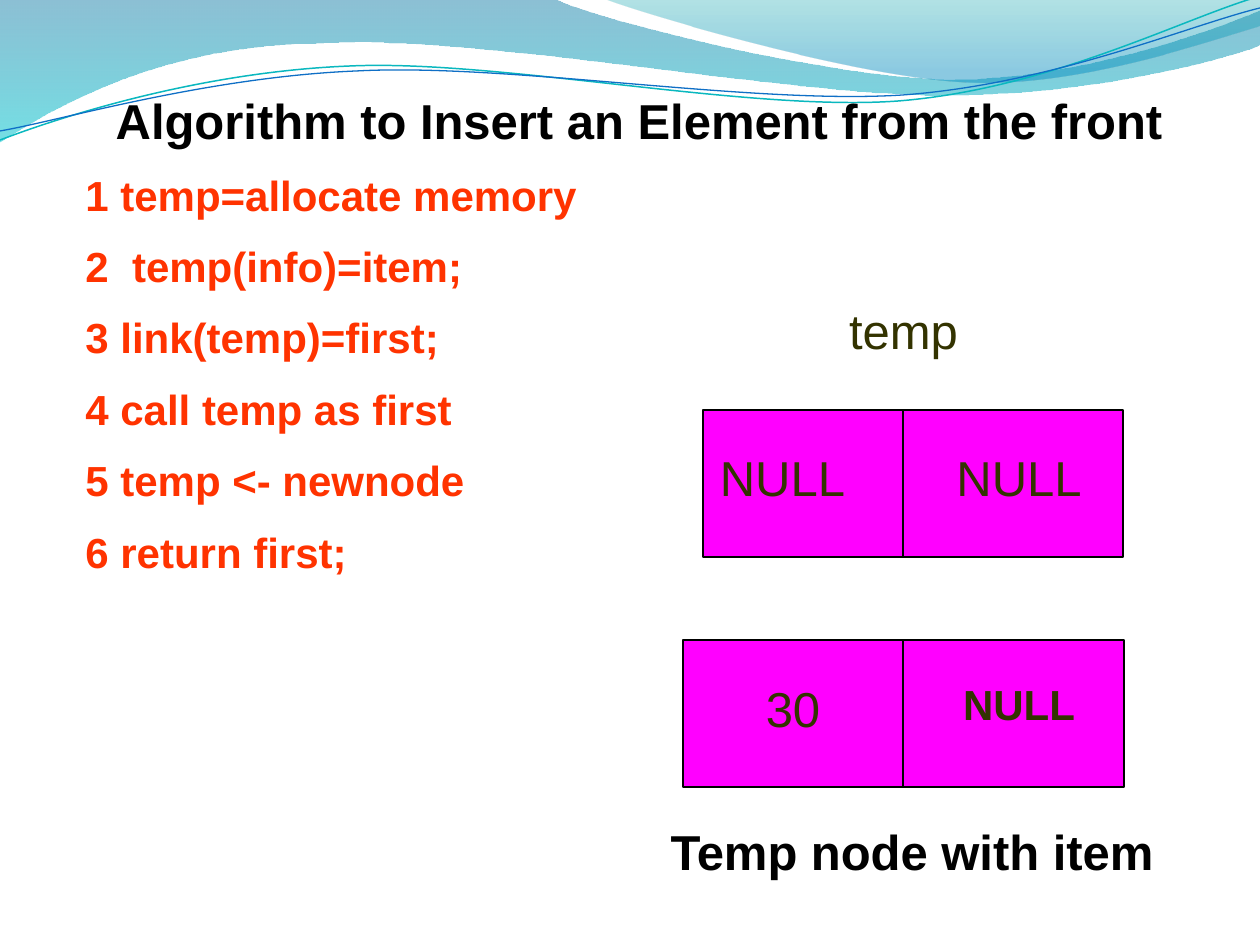
import lxml.etree
import pptx
import pptx.dml.color
import pptx.enum.shapes
import pptx.enum.text
import pptx.oxml.ns
import pptx.util

EMU_PER_PX = 914400 / 126
FONT = "Arial"
BLACK, OLIVE, ORANGE, MAGENTA = "000000", "333300", "FF3300", "FF00FF"
NODE_HEIGHT = 147
DIVIDER_X = 903

HEADING = "Algorithm to Insert an Element from the front"
STEPS = [
    "1 temp=allocate memory",
    "2  temp(info)=item;",
    "3 link(temp)=first;",
    "4 call temp as first",
    "5 temp <- newnode",
    "6 return first;",
]

# Each outline is a start point, then segments: one point for a straight
# line, three for a Bezier curve.
LEFT_WAVE = [
    (0, -1),
    [(554, -1)],
    [(600, 21), (837, 79), (955, 79)],
    [(1075, 79), (1207, 33), (1260, 11)],
    [(1261, 45)],
    [(1239, 55), (1096, 96), (940, 95)],
    [(784, 95), (481, 35), (324, 43)],
    [(163, 44), (58, 105), (-1, 142)],
]
RIGHT_WAVE = [
    (604, -1),
    [(641, 14), (859, 78), (969, 82)],
    [(1079, 87), (1211, 40), (1260, 26)],
    [(1260, 0)],
]
TEAL_CURVE = [
    (0, 140),
    [(60, 117), (199, 72), (349, 66)],
    [(498, 59), (747, 112), (898, 101)],
    [(1049, 89), (1182, 19), (1257, -3)],
]
BLUE_CURVE = [
    (0, 131),
    [(59, 121), (207, 77), (357, 71)],
    [(508, 63), (752, 105), (903, 95)],
    [(1053, 84), (1187, 26), (1260, 8)],
]


def px(length):
    return pptx.util.Emu(round(length * EMU_PER_PX))


def colour(value):
    return pptx.dml.color.RGBColor.from_string(value)


def place(shape, left, top, width, height):
    shape.left, shape.top = px(left), px(top)
    shape.width, shape.height = px(width), px(height)


def write(shape, lines, size=28, text_colour=OLIVE, bold=False, align="CENTER"):
    """Fill a shape with one paragraph per line."""
    frame = shape.text_frame
    frame.word_wrap = True
    frame.auto_size = pptx.enum.text.MSO_AUTO_SIZE.NONE
    frame.vertical_anchor = pptx.enum.text.MSO_ANCHOR.TOP
    frame.text = "\n".join(lines)
    for index, paragraph in enumerate(frame.paragraphs):
        paragraph.alignment = getattr(pptx.enum.text.PP_ALIGN, align)
        paragraph.space_before = pptx.util.Pt(12 if index else 0)
        paragraph.font.name = FONT
        paragraph.font.size = pptx.util.Pt(size)
        paragraph.font.bold = bold
        paragraph.font.color.rgb = colour(text_colour)


def add_text(slide, lines, box, **text_format):
    shape = slide.shapes.add_textbox(*map(px, box))
    write(shape, lines, **text_format)


def set_line(line, line_colour=BLACK, width=0.75):
    line.color.rgb = colour(line_colour)
    line.width = pptx.util.Pt(width)


def add_outline(slide, outline, close):
    """Add a freeform whose three-point segments are Bezier curves."""
    start, *segments = outline
    builder = slide.shapes.build_freeform(*map(px, start))
    points = [(px(x), px(y)) for segment in segments for x, y in segment]
    builder.add_line_segments(points, close=close)
    shape = builder.convert_to_shape()
    shape.shadow.inherit = False

    lines = iter(shape.element.xpath(".//a:lnTo"))
    for segment in segments:
        pieces = [next(lines) for _ in segment]
        if len(pieces) == 3:
            curve = lxml.etree.Element(pptx.oxml.ns.qn("a:cubicBezTo"))
            pieces[0].addprevious(curve)
            for piece in pieces:
                curve.append(piece[0])
                piece.getparent().remove(piece)
    return shape


def add_wave(slide, outline, stops):
    """Add a filled wave; stops are (position, colour, opacity in percent)."""
    shape = add_outline(slide, outline, close=True)
    shape.line.fill.background()
    shape.fill.gradient()
    shape.fill.gradient_angle = 270
    for stop, (position, stop_colour, _) in zip(shape.fill.gradient_stops, stops):
        stop.position = position
        stop.color.rgb = colour(stop_colour)
    for element, (_, _, opacity) in zip(shape.element.xpath(".//a:gs/a:srgbClr"), stops):
        alpha = lxml.etree.SubElement(element, pptx.oxml.ns.qn("a:alpha"))
        alpha.set("val", str(opacity * 1000))


def add_curve(slide, outline, line_colour, width):
    shape = add_outline(slide, outline, close=False)
    shape.fill.background()
    set_line(shape.line, line_colour, width)


def add_node(slide, left, top, width):
    """Add a two-field list node with its divider."""
    rectangle = slide.shapes.add_shape(
        pptx.enum.shapes.MSO_SHAPE.RECTANGLE, *map(px, (left, top, width, NODE_HEIGHT))
    )
    rectangle.shadow.inherit = False
    rectangle.fill.solid()
    rectangle.fill.fore_color.rgb = colour(MAGENTA)
    set_line(rectangle.line)
    divider = slide.shapes.add_connector(
        pptx.enum.shapes.MSO_CONNECTOR.STRAIGHT,
        *map(px, (DIVIDER_X, top, DIVIDER_X, top + NODE_HEIGHT)),
    )
    set_line(divider.line)
    properties = divider.element.find(pptx.oxml.ns.qn("p:spPr"))
    lxml.etree.SubElement(properties, pptx.oxml.ns.qn("a:effectLst"))


def main():
    presentation = pptx.Presentation()
    presentation.slide_width, presentation.slide_height = px(1260), px(945)
    slide = presentation.slides.add_slide(presentation.slide_layouts[5])

    add_wave(slide, LEFT_WAVE, [(0, "0074A1", 45), (1, "00C6CF", 55)])
    add_wave(slide, RIGHT_WAVE, [(0, "00A1A9", 30), (0.8, "008BBF", 45)])
    add_curve(slide, TEAL_CURVE, "0AB8BF", 0.85)
    add_curve(slide, BLUE_CURVE, "0F6FC6", 0.75)

    title = slide.shapes.title
    slide.shapes.element.append(title.element)  # in front of the waves
    place(title, 67, 84, 1144, 72)
    write(title, [HEADING], text_colour=BLACK, bold=True)
    add_text(slide, STEPS, (73, 163, 1144, 446), size=24, text_colour=ORANGE,
             bold=True, align="LEFT")

    add_node(slide, 703, 410, 420)
    add_text(slide, ["temp"], (725, 294, 357, 72))
    add_text(slide, ["NULL"], (693, 441, 179, 72))
    add_text(slide, ["NULL"], (935, 441, 168, 72))

    add_node(slide, 683, 640, 441)
    add_text(slide, ["30"], (714, 672, 158, 72))
    add_text(slide, ["NULL"], (914, 672, 210, 63), size=24, bold=True)
    add_text(slide, ["Temp node with item"], (613, 815, 598, 72),
             text_colour=BLACK, bold=True)

    presentation.save("out.pptx")


if __name__ == "__main__":
    main()
